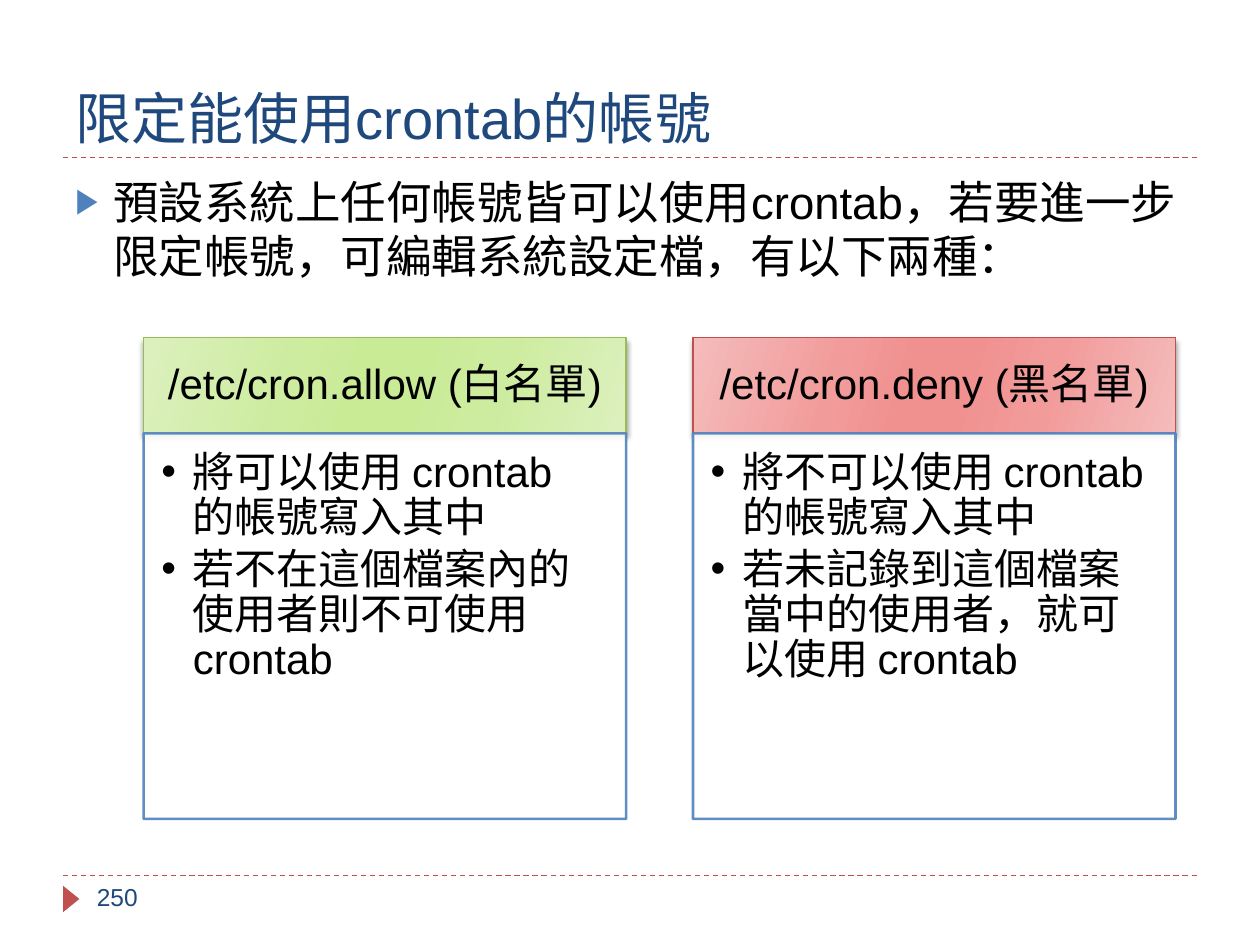
from dataclasses import dataclass

from lxml.etree import SubElement
from pptx import Presentation
from pptx.dml.color import RGBColor
from pptx.enum.dml import MSO_LINE
from pptx.enum.shapes import MSO_CONNECTOR, MSO_SHAPE
from pptx.enum.text import MSO_ANCHOR, PP_ALIGN
from pptx.oxml import parse_xml
from pptx.oxml.ns import nsdecls, qn
from pptx.util import Pt

PX = 9144


@dataclass(frozen=True)
class Theme:
    """Colours, font and type sizes of the slide."""
    font: str = "Arial"
    navy: str = "1F497D"
    blue: str = "4F81BD"
    red: str = "C0504D"
    green: str = "9BBB59"
    black: str = "000000"
    white: str = "FFFFFF"
    lime: tuple = ("DCF0BE", "CEECA0", "C9EB96")
    rose: tuple = ("F4BCBB", "F19C9B", "F09190")
    title: int = 32
    body: int = 26
    card: int = 24
    foot: int = 14


THEME = Theme()


def rgb(code):
    """Turn a hex code into a colour."""
    return RGBColor.from_string(code)


def emu(*sizes):
    """Scale px lengths to EMU."""
    return [size * PX for size in sizes]


def child(node, tag, **attrs):
    """Append a drawing element with its attributes."""
    return SubElement(node, qn(tag), {key: str(val) for key, val in attrs.items()})


def bullet(para, mark, indent, color=None, size=100):
    """Give a paragraph a hanging bullet."""
    props = para._p.get_or_add_pPr()
    props.set("marL", str(indent * PX))
    props.set("indent", str(-indent * PX))
    if color:
        child(child(props, "a:buClr"), "a:srgbClr", val=color)
    child(props, "a:buSzPct", val=size * 1000)
    child(props, "a:buFont", typeface=THEME.font)
    child(props, "a:buChar", char=mark)


def write(shape, *lines, size, color=THEME.black, align=PP_ALIGN.LEFT,
          anchor=MSO_ANCHOR.TOP, inset=(10, 5, 10, 5), space=1.0, after=0, mark=None):
    """Fill a shape with formatted paragraphs."""
    frame = shape.text_frame
    frame.word_wrap = True
    frame.vertical_anchor = anchor
    (frame.margin_left, frame.margin_top,
     frame.margin_right, frame.margin_bottom) = emu(*inset)
    for pos, line in enumerate(lines):
        para = frame.add_paragraph() if pos else frame.paragraphs[0]
        para.alignment = align
        para.line_spacing = space
        para.space_before = Pt(0)
        para.space_after = Pt(after)
        if mark:
            bullet(para, **mark)
        run = para.add_run()
        run.text = line
        run.font.name = THEME.font
        run.font.size = Pt(size)
        run.font.color.rgb = rgb(color)


def block(slide, kind, box, fill, line=None, width=0.75):
    """Add a flat preset shape."""
    shape = slide.shapes.add_shape(kind, *emu(*box))
    shape.shadow.inherit = False
    shape.fill.solid()
    shape.fill.fore_color.rgb = rgb(fill)
    if line:
        shape.line.color.rgb = rgb(line)
        shape.line.width = Pt(width)
    else:
        shape.line.fill.background()
    return shape


def fade(shape, tones):
    """Swap the solid fill for a symmetric slanted gradient."""
    edge, mid, core = tones
    stops = zip((0, 30, 45, 55, 73, 100), (edge, mid, core, core, mid, edge))
    items = "".join(f'<a:gs pos="{pos * 1000}"><a:srgbClr val="{tone}"/></a:gs>'
                    for pos, tone in stops)
    solid = shape._element.spPr.find(qn("a:solidFill"))
    solid.getparent().replace(solid, parse_xml(
        f'<a:gradFill {nsdecls("a")} rotWithShape="1"><a:gsLst>{items}</a:gsLst>'
        '<a:lin ang="960000" scaled="0"/></a:gradFill>'))


def shade(shape):
    """Drop a soft shadow below a shape."""
    effects = shape._element.spPr.find(qn("a:effectLst"))
    drop = child(effects, "a:outerShdw", blurRad=Pt(3), dist=Pt(2),
                 dir=5400000, rotWithShape=0)
    child(child(drop, "a:srgbClr", val=THEME.black), "a:alpha", val=40000)


def rule(slide, left, top, width):
    """Draw a dashed level line."""
    line = slide.shapes.add_connector(
        MSO_CONNECTOR.STRAIGHT, *emu(left, top, left + width, top))
    line.line.color.rgb = rgb(THEME.red)
    line.line.width = Pt(0.75)
    line.line.dash_style = MSO_LINE.DASH
    child(line._element.spPr, "a:effectLst")


def header(slide, box, text):
    """Place the title above its rule."""
    left, top, width, height = box
    title = slide.shapes.title
    title.left, title.top, title.width, title.height = emu(*box)
    write(title, text, size=THEME.title, color=THEME.navy, anchor=MSO_ANCHOR.BOTTOM)
    rule(slide, left, top + height, width)


def intro(slide, box, text):
    """Place the lead point."""
    area = slide.shapes.add_textbox(*emu(*box))
    write(area, text, size=THEME.body,
          mark=dict(mark="▶", indent=30, color=THEME.blue, size=76))


def card(slide, box, head, points, tones, edge):
    """Place a shaded heading over a framed list."""
    left, top, width, height = box
    bar = 76
    cap = block(slide, MSO_SHAPE.RECTANGLE, (left, top, width, bar), tones[0], edge)
    fade(cap, tones)
    shade(cap)
    write(cap, head, size=THEME.card, align=PP_ALIGN.CENTER,
          anchor=MSO_ANCHOR.MIDDLE, inset=(19, 11, 19, 11), space=0.9)
    pane = block(slide, MSO_SHAPE.RECTANGLE, (left, top + bar, width, height - bar),
                 THEME.white, THEME.blue, 1.5)
    for tone in pane._element.spPr.iter(qn("a:srgbClr")):
        child(tone, "a:alpha", val=90000)
    write(pane, *points, size=THEME.card, inset=(14, 14, 19, 21),
          space=0.9, after=3.5, mark=dict(mark="•", indent=25))


def footer(slide, box, number):
    """Place the lower rule, marker and page number."""
    left, top, width, height = box
    rule(slide, left, top, width)
    arrow = block(slide, MSO_SHAPE.ISOSCELES_TRIANGLE,
                  (left - 4, top + 12, 21, 13), THEME.red)
    arrow.rotation = 90
    page = slide.shapes.add_textbox(*emu(left + 17, top, 217, height))
    write(page, number, size=THEME.foot, color=THEME.navy)


def main():
    """Build the slide and save it."""
    deck = Presentation()
    deck.slide_width, deck.slide_height = emu(1000, 750)
    slide = deck.slides.add_slide(deck.slide_layouts[5])
    header(slide, (50, 17, 900, 108), "限定能使用crontab的帳號")
    intro(slide, (50, 133, 900, 110),
          "預設系統上任何帳號皆可以使用crontab，若要進一步限定帳號，可編輯系統設定檔，有以下兩種：")
    cards = (
        ("/etc/cron.allow (白名單)",
         ("將可以使用 crontab 的帳號寫入其中", "若不在這個檔案內的使用者則不可使用 crontab"),
         THEME.lime, THEME.green),
        ("/etc/cron.deny (黑名單)",
         ("將不可以使用 crontab 的帳號寫入其中", "若未記錄到這個檔案當中的使用者，就可以使用 crontab"),
         THEME.rose, THEME.red),
    )
    for pos, parts in enumerate(cards):
        card(slide, (114 + pos * 436, 268, 383, 382), *parts)
    footer(slide, (50, 695, 900, 40), "250")
    deck.save("out.pptx")


if __name__ == "__main__":
    main()
